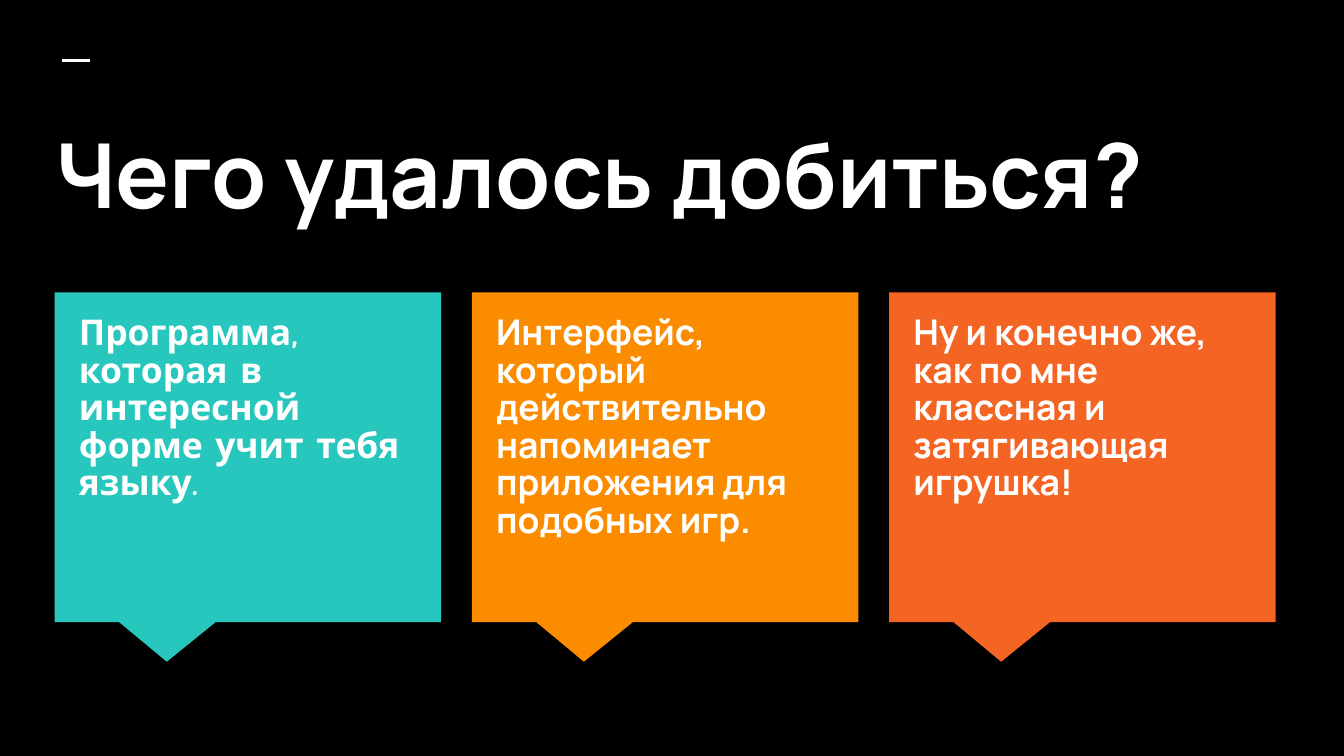
from dataclasses import dataclass

from lxml import etree
from pptx import Presentation
from pptx import util as u
from pptx.dml.color import RGBColor
from pptx.enum import shapes, text
from pptx.oxml import ns

BLACK = RGBColor(0x00, 0x00, 0x00)
WHITE = RGBColor(0xFF, 0xFF, 0xFF)
TEAL = RGBColor(0x27, 0xC7, 0xBD)
AMBER = RGBColor(0xFB, 0x8C, 0x00)
ORANGE = RGBColor(0xF4, 0x65, 0x24)

CARD_LEFT, CARD_TOP = 29.3, 156.6
CARD_WIDTH, CARD_HEIGHT = 207, 176.7
CARD_PITCH = 223.5
TEXT_DX, TEXT_DY = 5.9, 5.4
TEXT_WIDTH, TEXT_HEIGHT = 195.1, 157.7
INSET = 7.2


@dataclass(frozen=True)
class Achievement:
    wording: str
    color: RGBColor
    font: str = "Manrope"


ACHIEVEMENTS = (
    Achievement("Программа, которая в интересной форме учит тебя языку.", TEAL, "Comic Neue"),
    Achievement("Интерфейс, который действительно напоминает приложения для подобных игр.", AMBER),
    Achievement("Ну и конечно же, как по мне классная и затягивающая игрушка!", ORANGE),
)


def add_heading(slide, wording: str, left: float, top: float, width: float, height: float,
                size: float, font: str = "Manrope"):
    frame = slide.shapes.add_textbox(u.Pt(left), u.Pt(top), u.Pt(width), u.Pt(height)).text_frame
    frame.word_wrap = True
    frame.vertical_anchor = text.MSO_ANCHOR.TOP
    frame.margin_left = frame.margin_right = u.Pt(INSET)
    frame.margin_top = frame.margin_bottom = u.Pt(INSET)
    paragraph = frame.paragraphs[0]
    paragraph.text = wording
    paragraph.font.name = font
    paragraph.font.size = u.Pt(size)
    paragraph.font.bold = True
    paragraph.font.color.rgb = WHITE
    return paragraph


def add_callout(slide, left: float, color: RGBColor) -> None:
    callout = slide.shapes.add_shape(
        shapes.MSO_SHAPE.RECTANGULAR_CALLOUT,
        u.Pt(left), u.Pt(CARD_TOP), u.Pt(CARD_WIDTH), u.Pt(CARD_HEIGHT))
    callout.adjustments[0] = -0.21
    callout.adjustments[1] = 0.62
    callout.shadow.inherit = False
    callout.fill.solid()
    callout.fill.fore_color.rgb = color
    callout.line.fill.background()


def add_achievement(slide, index: int, achievement: Achievement) -> None:
    left = CARD_LEFT + index * CARD_PITCH
    add_callout(slide, left, achievement.color)
    paragraph = add_heading(slide, achievement.wording, left + TEXT_DX, CARD_TOP + TEXT_DY,
                            TEXT_WIDTH, TEXT_HEIGHT, 19, achievement.font)
    paragraph.line_spacing = 0.88
    paragraph.space_after = u.Pt(12)


def add_accent(slide) -> None:
    accent = slide.shapes.add_connector(
        shapes.MSO_CONNECTOR.STRAIGHT, u.Pt(33.5), u.Pt(32.5), u.Pt(48), u.Pt(32.5))
    accent.line.color.rgb = WHITE
    accent.line.width = u.Pt(1.5)
    etree.SubElement(accent._element.spPr, ns.qn("a:effectLst"))


def main() -> None:
    deck = Presentation()
    deck.slide_width, deck.slide_height = u.Pt(720), u.Pt(405)
    slide = deck.slides.add_slide(deck.slide_layouts[6])
    slide.background.fill.solid()
    slide.background.fill.fore_color.rgb = BLACK
    add_accent(slide)
    add_heading(slide, "Чего удалось добиться?", 22.5, 56.3, 679, 80.8, 48)
    for index, achievement in enumerate(ACHIEVEMENTS):
        add_achievement(slide, index, achievement)
    deck.save("out.pptx")


if __name__ == "__main__":
    main()
